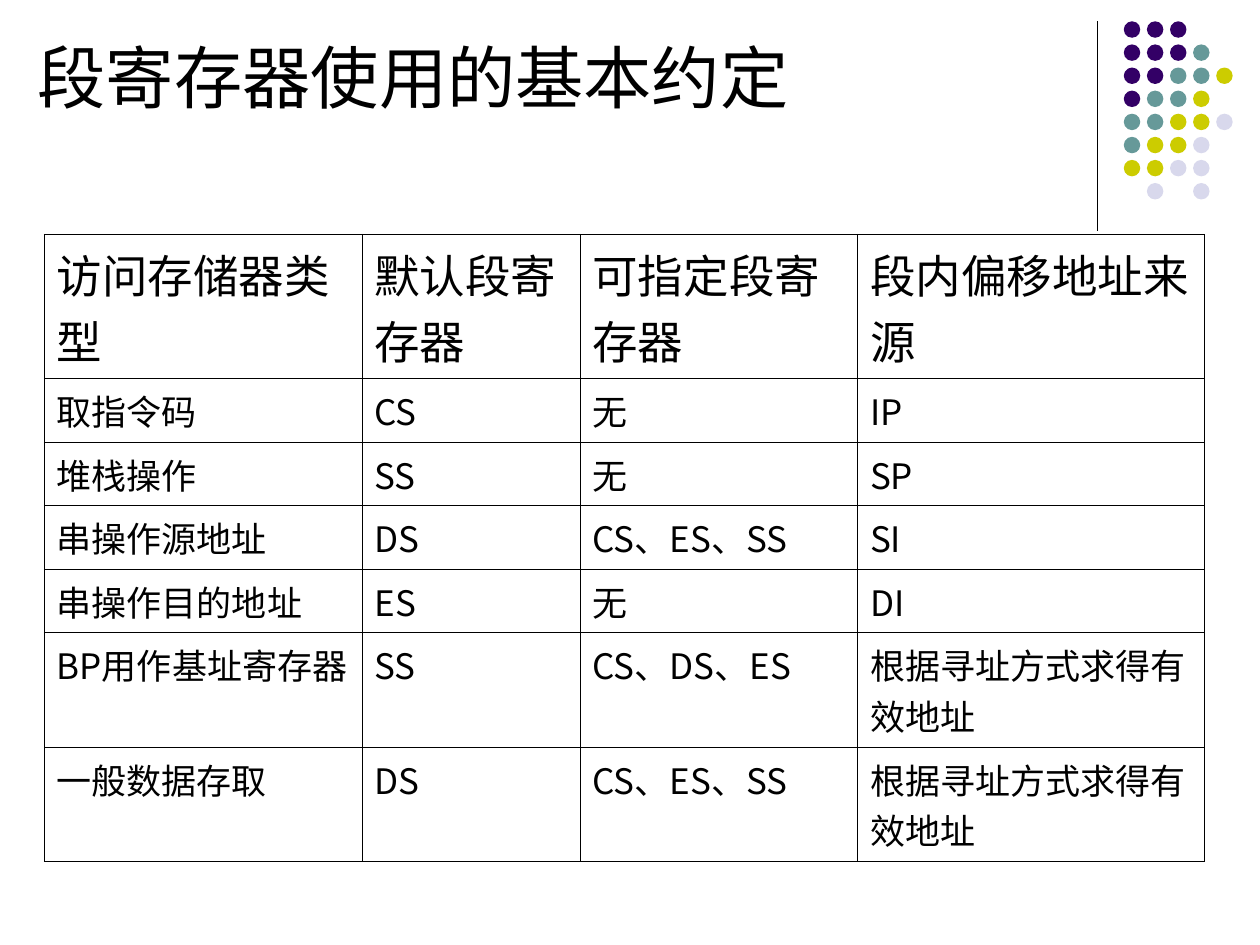
from lxml import etree
from pptx import Presentation
from pptx.dml.color import RGBColor
from pptx.enum.shapes import MSO_CONNECTOR, MSO_SHAPE
from pptx.enum.text import MSO_ANCHOR, MSO_AUTO_SIZE, PP_ALIGN
from pptx.oxml.ns import qn
from pptx.util import Pt

STRAIGHT = MSO_CONNECTOR.STRAIGHT
OVAL = MSO_SHAPE.OVAL
BOTTOM = MSO_ANCHOR.BOTTOM
NO_AUTOFIT = MSO_AUTO_SIZE.NONE
LEFT = PP_ALIGN.LEFT
TITLE_ONLY_LAYOUT = 5

COLORS = {
    "text": "000000",
    "purple": "330066",
    "teal": "669999",
    "olive": "CCCC00",
    "lavender": "D8D8EC",
}
TITLE_FONT = "Arial"
CJK_FONT = "Noto Sans CJK SC"

# Each letter picks a dot colour, a space leaves a gap
DOT_ROWS = ["PPP", "PPPT", "PPTTO", "PTTO", "TTOOL", "TOOL", "OOLL", " L L"]
DOT_COLORS = {"P": "purple", "T": "teal", "O": "olive", "L": "lavender"}
DOT_LEFT, DOT_TOP, DOT_PITCH, DOT_SIZE = 642.2, 12.2, 13.2, 9.4

COLUMN_WIDTHS = [181.6, 124.6, 158.6, 198.4]
ROW_HEIGHTS = [82.2] + [36.3] * 4 + [65.3] * 2
TABLE_ROWS = [
    ["访问存储器类型", "默认段寄存器", "可指定段寄存器", "段内偏移地址来源"],
    ["取指令码", "CS", "无", "IP"],
    ["堆栈操作", "SS", "无", "SP"],
    ["串操作源地址", "DS", "CS、ES、SS", "SI"],
    ["串操作目的地址", "ES", "无", "DI"],
    ["BP用作基址寄存器", "SS", "CS、DS、ES", "根据寻址方式求得有效地址"],
    ["一般数据存取", "DS", "CS、ES、SS", "根据寻址方式求得有效地址"],
]


def color(name):
    return RGBColor.from_string(COLORS[name])


def format_paragraph(paragraph, size, font_name):
    paragraph.alignment = LEFT
    font = paragraph.font
    font.size = Pt(size)
    font.name = font_name
    font.color.rgb = color("text")
    # East Asian characters take their own typeface
    defaults = paragraph._p.pPr.find(qn("a:defRPr"))
    etree.SubElement(defaults, qn("a:ea"), typeface=CJK_FONT)


def add_title(slide, text):
    title = slide.shapes.title
    title.left, title.top = Pt(14.4), Pt(20.2)
    title.width, title.height = Pt(588.2), Pt(50.4)
    frame = title.text_frame
    frame.text = text
    frame.word_wrap = True
    frame.auto_size = NO_AUTOFIT
    frame.vertical_anchor = BOTTOM
    format_paragraph(frame.paragraphs[0], 39, TITLE_FONT)


def add_divider(slide):
    divider = slide.shapes.add_connector(
        STRAIGHT, Pt(627.1), Pt(12.2), Pt(627.1), Pt(131.8))
    divider.line.color.rgb = color("text")
    divider.line.width = Pt(0.75)
    etree.SubElement(divider._element.spPr, qn("a:effectLst"))


def add_dot_pattern(slide):
    group = slide.shapes.add_group_shape()
    for row, letters in enumerate(DOT_ROWS):
        for column, letter in enumerate(letters):
            if letter == " ":
                continue
            dot = group.shapes.add_shape(
                OVAL, Pt(DOT_LEFT + column * DOT_PITCH),
                Pt(DOT_TOP + row * DOT_PITCH), Pt(DOT_SIZE), Pt(DOT_SIZE))
            dot.shadow.inherit = False
            dot.fill.solid()
            dot.fill.fore_color.rgb = color(DOT_COLORS[letter])
            dot.line.fill.background()


def set_borders(cell, width):
    properties = cell._tc.get_or_add_tcPr()
    for index, side in enumerate(("a:lnL", "a:lnR", "a:lnT", "a:lnB")):
        line = etree.Element(qn(side), w=str(Pt(width)))
        fill = etree.SubElement(line, qn("a:solidFill"))
        etree.SubElement(fill, qn("a:srgbClr"), val=COLORS["text"])
        properties.insert(index, line)


def add_register_table(slide):
    table = slide.shapes.add_table(
        len(ROW_HEIGHTS), len(COLUMN_WIDTHS), Pt(25.2), Pt(133.9),
        Pt(sum(COLUMN_WIDTHS)), Pt(sum(ROW_HEIGHTS))).table
    table.first_row = False
    table.horz_banding = False
    for column, width in zip(table.columns, COLUMN_WIDTHS):
        column.width = Pt(width)
    for index, (row, height) in enumerate(zip(table.rows, ROW_HEIGHTS)):
        row.height = Pt(height)
        size = 26 if index == 0 else 20
        for cell, text in zip(row.cells, TABLE_ROWS[index]):
            cell.text = text
            cell.fill.background()
            set_borders(cell, 0.45)
            format_paragraph(cell.text_frame.paragraphs[0], size, CJK_FONT)


def main():
    presentation = Presentation()
    presentation.slide_width, presentation.slide_height = Pt(720), Pt(540)
    layout = presentation.slide_layouts[TITLE_ONLY_LAYOUT]
    slide = presentation.slides.add_slide(layout)

    # Corner decoration
    add_divider(slide)
    add_dot_pattern(slide)

    # Content
    add_title(slide, "段寄存器使用的基本约定")
    add_register_table(slide)
    presentation.save("out.pptx")


if __name__ == "__main__":
    main()
